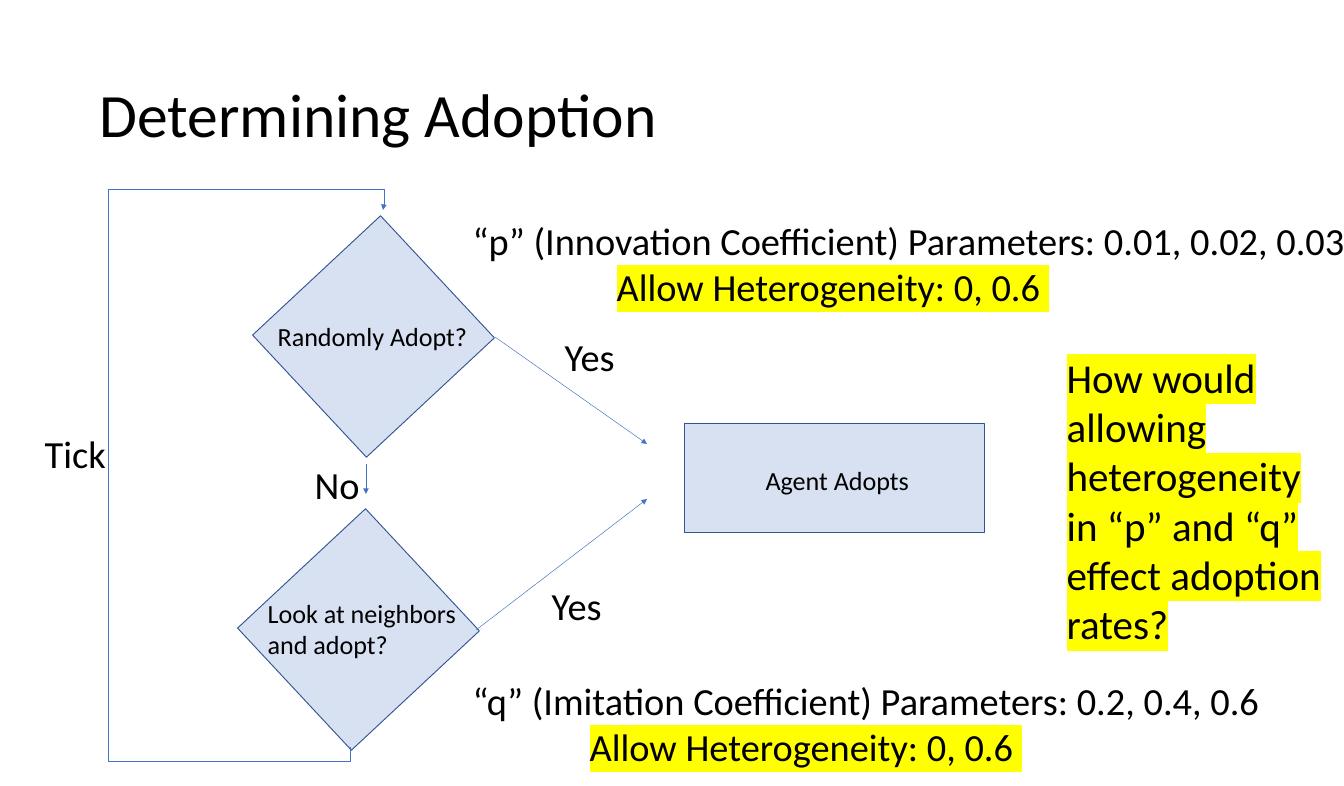
"""Build the adoption decision flowchart slide."""
from dataclasses import dataclass
from typing import Any

from lxml.etree import SubElement
from pptx import Presentation
from pptx.dml.color import RGBColor
from pptx.enum.shapes import MSO_CONNECTOR, MSO_SHAPE
from pptx.enum.text import MSO_ANCHOR, MSO_AUTO_SIZE, PP_ALIGN
from pptx.oxml.ns import qn
from pptx.slide import Slide
from pptx.text.text import TextFrame
from pptx.util import Emu, Pt

PIXEL = 914400 / 67.2
BLACK = RGBColor(0x00, 0x00, 0x00)
BLUE = RGBColor(0x44, 0x72, 0xC4)
DARK_BLUE = RGBColor(0x32, 0x54, 0x91)
YELLOW = RGBColor(0xFF, 0xFF, 0x00)
FONT = "Calibri"
STEP_SIZE, LABEL_SIZE, QUESTION_SIZE, TITLE_SIZE = 28, 41.1, 44, 66


@dataclass(frozen=True)
class Line:
    text: str
    indent: int = 0
    highlighted: bool = False


@dataclass(frozen=True)
class Caption:
    box: tuple[int, int, int, int]
    lines: tuple[Line, ...]
    size: float = LABEL_SIZE
    wraps: bool = False


@dataclass(frozen=True)
class Step:
    box: tuple[int, int, int, int]
    rotation: int = 0


@dataclass(frozen=True)
class Arrow:
    start: tuple[int, int]
    end: tuple[int, int]
    kind: MSO_CONNECTOR = MSO_CONNECTOR.STRAIGHT
    has_head: bool = True
    rotation: int = 0
    bend: int | None = None


def px(*values: int) -> list[Emu]:
    return [Emu(round(value * PIXEL)) for value in values]


def apply(target: Any, values: dict[str, Any]) -> None:
    for name, value in values.items():
        setattr(target, name, value)


def write(frame: TextFrame, lines: tuple[Line, ...], size: float) -> None:
    for index, line in enumerate(lines):
        paragraph = frame.add_paragraph() if index else frame.paragraphs[0]
        paragraph.alignment = PP_ALIGN.LEFT
        if line.indent:
            properties = paragraph._p.get_or_add_pPr()
            properties.set("marL", str(px(line.indent)[0]))
            properties.set("indent", "0")
        run = paragraph.add_run()
        run.text = line.text
        apply(run.font, {"name": FONT, "size": Pt(size)})
        run.font.color.rgb = BLACK
        if line.highlighted:
            run_properties = run.font._element
            highlight = SubElement(run_properties, qn("a:highlight"))
            SubElement(highlight, qn("a:srgbClr"), val=str(YELLOW))
            run_properties.find(qn("a:solidFill")).addnext(highlight)


def add_title(slide: Slide, text: str) -> None:
    title = slide.shapes.title
    apply(title, dict(zip(("left", "top", "width", "height"), px(93, 42, 1159, 152))))
    apply(title.text_frame, {"vertical_anchor": MSO_ANCHOR.MIDDLE,
                             "auto_size": MSO_AUTO_SIZE.NONE, "word_wrap": True})
    write(title.text_frame, (Line(text),), TITLE_SIZE)
    title.text_frame.paragraphs[0].line_spacing = 0.9


def add_step(slide: Slide, step: Step) -> None:
    block = slide.shapes.add_shape(MSO_SHAPE.RECTANGLE, *px(*step.box))
    block.rotation = step.rotation
    block.shadow.inherit = False
    block.fill.solid()
    block.fill.fore_color.rgb = BLUE
    tint = block._element.spPr.find(qn("a:solidFill")).find(qn("a:srgbClr"))
    SubElement(tint, qn("a:alpha"), val="21000")
    block.line.color.rgb = DARK_BLUE
    block.line.width = Pt(1)


def add_caption(slide: Slide, caption: Caption) -> None:
    frame = slide.shapes.add_textbox(*px(*caption.box)).text_frame
    apply(frame, {"word_wrap": caption.wraps,
                  "auto_size": MSO_AUTO_SIZE.SHAPE_TO_FIT_TEXT})
    write(frame, caption.lines, caption.size)


def add_arrow(slide: Slide, arrow: Arrow) -> None:
    connector = slide.shapes.add_connector(arrow.kind, *px(*arrow.start, *arrow.end))
    connector.line.color.rgb = BLUE
    connector.line.width = Pt(0.5)
    properties = connector._element.spPr
    if arrow.has_head:
        SubElement(properties.find(qn("a:ln")), qn("a:tailEnd"), type="triangle")
    if arrow.rotation:
        properties.find(qn("a:xfrm")).set("rot", str(arrow.rotation * 60000))
    if arrow.bend is not None:
        adjustments = properties.find(qn("a:prstGeom")).find(qn("a:avLst"))
        SubElement(adjustments, qn("a:gd"), name="adj1", fmla=f"val {arrow.bend}")
    SubElement(properties, qn("a:effectLst"))


STEPS = (
    Step((290, 249, 167, 175), 47),
    Step((275, 542, 167, 175), 47),
    Step((684, 423, 300, 110)),
)
ARROWS = (
    Arrow((366, 464), (366, 494)),
    Arrow((495, 337), (647, 444)),
    Arrow((476, 630), (647, 499)),
    Arrow((-50, 589), (508, 347), MSO_CONNECTOR.ELBOW, False, 270, -2600),
    Arrow((108, 189), (383, 210), MSO_CONNECTOR.ELBOW, bend=100300),
)
HETEROGENEITY = "Allow Heterogeneity: 0, 0.6 "
CAPTIONS = (
    Caption((271, 317, 205, 38), (Line("Randomly Adopt?"),), STEP_SIZE),
    Caption((261, 594, 205, 70), (Line("Look at neighbors and adopt?"),), STEP_SIZE, True),
    Caption((759, 461, 159, 38), (Line("Agent Adopts"),), STEP_SIZE),
    Caption((308, 458, 59, 53), (Line("No"),)),
    Caption((545, 579, 64, 53), (Line("Yes"),)),
    Caption((558, 330, 64, 53), (Line("Yes"),)),
    Caption((38, 427, 75, 53), (Line("Tick"),)),
    Caption((457, 214, 904, 99), (
        Line("“p” (Innovation Coefficient) Parameters: 0.01, 0.02, 0.03", 9),
        Line(HETEROGENEITY, 153, True)), wraps=True),
    Caption((457, 674, 818, 99), (
        Line("“q” (Imitation Coefficient) Parameters: 0.2, 0.4, 0.6", 9),
        Line(HETEROGENEITY, 126, True)), wraps=True),
    Caption((1060, 349, 280, 360), (
        Line("How would allowing heterogeneity in “p” and “q” effect adoption rates?",
             highlighted=True),), QUESTION_SIZE, True),
)


def main() -> None:
    deck = Presentation()
    apply(deck, dict(zip(("slide_width", "slide_height"), px(1344, 786))))
    slide = deck.slides.add_slide(deck.slide_layouts[5])
    add_title(slide, "Determining Adoption")
    for step in STEPS:
        add_step(slide, step)
    for arrow in ARROWS:
        add_arrow(slide, arrow)
    for caption in CAPTIONS:
        add_caption(slide, caption)
    deck.save("out.pptx")


main()
